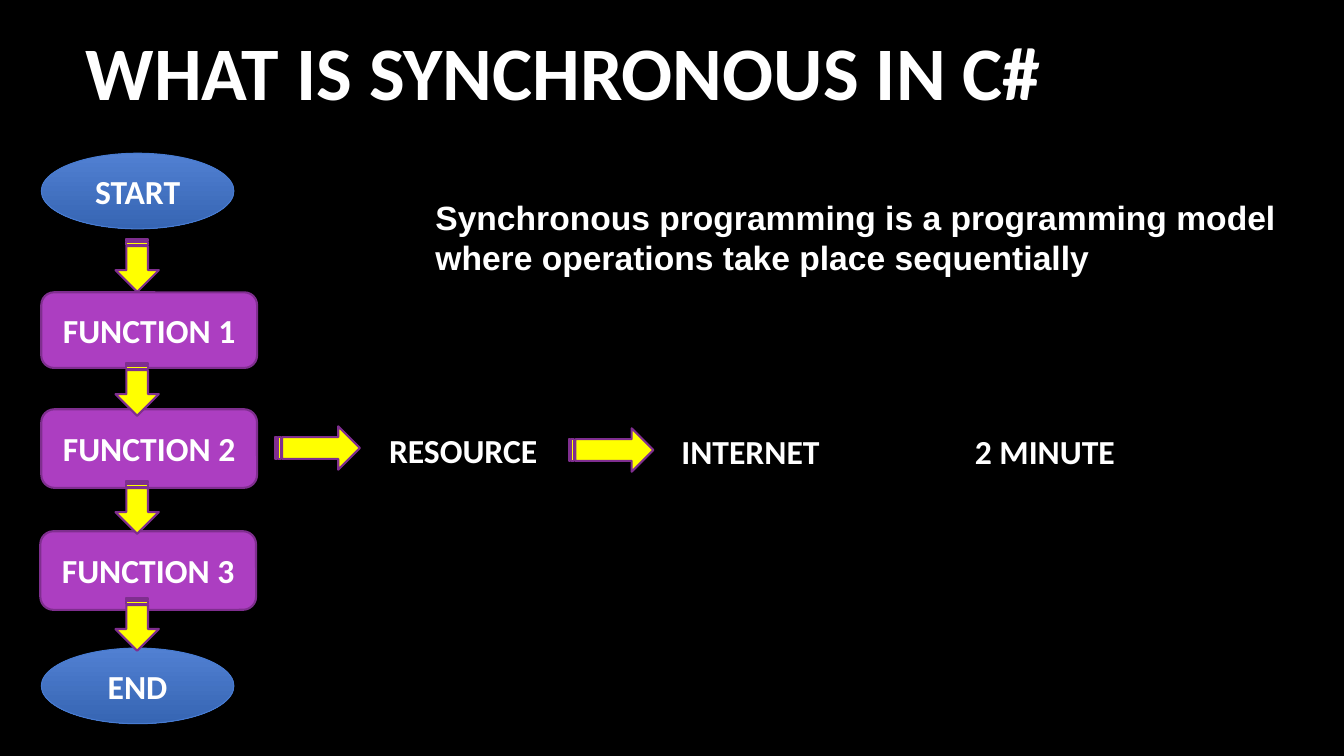
from dataclasses import dataclass

from pptx import Presentation
from pptx.dml.color import RGBColor
from pptx.enum.shapes import MSO_SHAPE
from pptx.enum.text import MSO_ANCHOR, PP_ALIGN
from pptx.util import Inches, Pt

OVAL = MSO_SHAPE.OVAL
ROUNDED = MSO_SHAPE.ROUNDED_RECTANGLE
ARROW = MSO_SHAPE.STRIPED_RIGHT_ARROW
TOP, MIDDLE = MSO_ANCHOR.TOP, MSO_ANCHOR.MIDDLE
LEFT, CENTER = PP_ALIGN.LEFT, PP_ALIGN.CENTER


@dataclass(frozen=True)
class Theme:
    background: str = "000000"
    text: str = "FFFFFF"
    oval_fill: tuple = ("5180D2", "3665B3")
    oval_line: str = "477BD1"
    function_fill: str = "AC3EC1"
    purple_line: str = "7F2E8F"
    arrow_fill: str = "FFFF00"
    heading_font: str = "Calibri"
    body_font: str = "Arial"
    title_size: int = 54
    label_size: int = 24


class FlowSlide:
    def __init__(self, prs, theme):
        self.theme = theme
        self.s = prs.slides.add_slide(prs.slide_layouts[6])
        fill = self.s.background.fill
        fill.solid()
        fill.fore_color.rgb = RGBColor.from_string(theme.background)

    def set_text(self, sp, text, size, font, align, anchor, wrap):
        tf = sp.text_frame
        tf.text = text
        tf.word_wrap = wrap
        tf.vertical_anchor = anchor
        for p in tf.paragraphs:
            p.alignment = align
            for r in p.runs:
                r.font.name = font
                r.font.size = Pt(size)
                r.font.bold = True
                r.font.color.rgb = RGBColor.from_string(self.theme.text)

    def text(self, text, x, y, w, h, size=None, font=None, anchor=TOP, wrap=True):
        sp = self.s.shapes.add_textbox(Inches(x), Inches(y), Inches(w), Inches(h))
        self.set_text(sp, text, size or self.theme.label_size,
                      font or self.theme.heading_font, LEFT, anchor, wrap)

    def shape(self, kind, x, y, w, h, line, width):
        sp = self.s.shapes.add_shape(kind, Inches(x), Inches(y), Inches(w), Inches(h))
        sp.shadow.inherit = False
        sp.line.color.rgb = RGBColor.from_string(line)
        sp.line.width = Pt(width)
        return sp

    def label(self, sp, text):
        self.set_text(sp, text, self.theme.label_size, self.theme.heading_font,
                      CENTER, MIDDLE, True)

    def terminal(self, text, y):
        sp = self.shape(OVAL, 0.41, y, 1.91, 0.75, self.theme.oval_line, 0.75)
        sp.fill.gradient()
        sp.fill.gradient_angle = 270
        for stop, position, color in zip(sp.fill.gradient_stops, (0, 1), self.theme.oval_fill):
            stop.position = position
            stop.color.rgb = RGBColor.from_string(color)
        self.label(sp, text)

    def function(self, text, x, y, h):
        sp = self.shape(ROUNDED, x, y, 2.14, h, self.theme.purple_line, 1.5)
        sp.fill.solid()
        sp.fill.fore_color.rgb = RGBColor.from_string(self.theme.function_fill)
        self.label(sp, text)

    def arrow(self, x, y, w, rotation=0):
        sp = self.shape(ARROW, x, y, w, 0.43, self.theme.purple_line, 1.5)
        sp.fill.solid()
        sp.fill.fore_color.rgb = RGBColor.from_string(self.theme.arrow_fill)
        sp.rotation = rotation


def main():
    prs = Presentation()
    prs.slide_width, prs.slide_height = Inches(13.33), Inches(7.5)
    theme = Theme()
    slide = FlowSlide(prs, theme)

    slide.text("WHAT IS SYNCHRONOUS IN C#", 0.75, -0.1, 11.08, 1.59,
               size=theme.title_size, anchor=MIDDLE)
    slide.text("Synchronous programming is a programming model\n"
               "where operations take place sequentially",
               4.22, 1.9, 8.7, 0.91, font=theme.body_font)

    slide.terminal("START", 1.52)
    functions = ((0.41, 2.9, 0.75), (0.41, 4.06, 0.78), (0.4, 5.27, 0.78))
    for number, (x, y, h) in enumerate(functions, 1):
        slide.function(f"FUNCTION {number}", x, y, h)
    slide.terminal("END", 6.43)

    for y in (2.42, 3.65, 4.82, 5.98):
        slide.arrow(1.1, y, 0.52, rotation=90)
    for x, y in ((2.73, 4.23), (5.64, 4.25)):
        slide.arrow(x, y, 0.84)

    for text, x, y, w in (("RESOURCE", 3.76, 4.22, 1.69),
                          ("INTERNET", 6.66, 4.23, 1.59),
                          ("2 MINUTE", 9.57, 4.23, 1.6)):
        slide.text(text, x, y, w, 0.5, wrap=False)

    prs.save("out.pptx")


if __name__ == "__main__":
    main()
